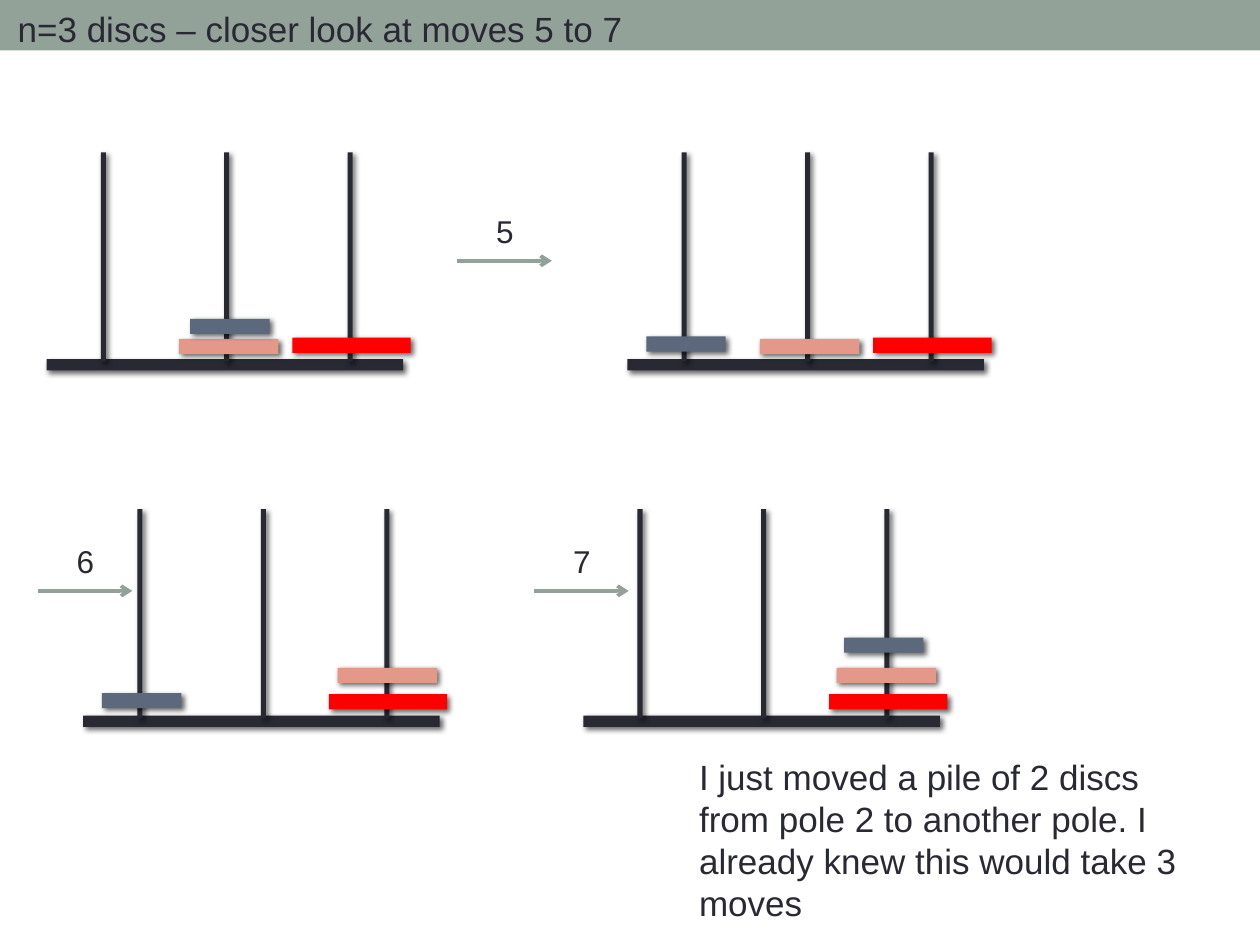
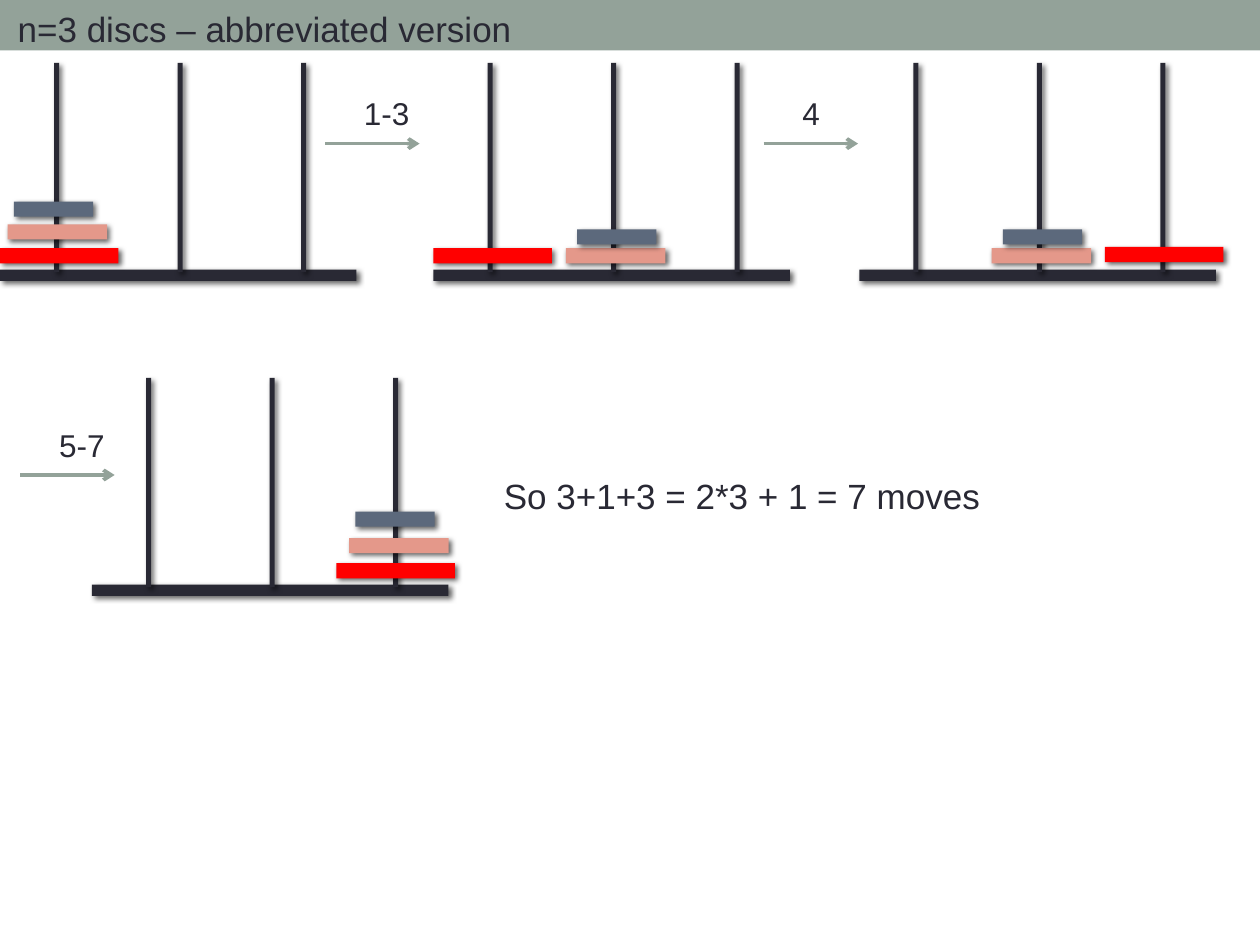
"""Towers of Hanoi with three discs: the last moves and the abbreviated version."""
from dataclasses import dataclass

import pptx
import pptx.dml.color
import pptx.enum.shapes
import pptx.enum.text
import pptx.oxml
import pptx.oxml.ns
import pptx.util
from pptx.util import Inches

RECTANGLE = pptx.enum.shapes.MSO_SHAPE.RECTANGLE
STRAIGHT = pptx.enum.shapes.MSO_CONNECTOR.STRAIGHT


@dataclass(frozen=True)
class Theme:
    """Colours, font and type sizes of the deck."""
    ink: str = "292934"
    sage: str = "93A299"
    large_disc: str = "FF0000"
    medium_disc: str = "E4988A"
    small_disc: str = "5C697C"
    font: str = "Arial"
    body: int = 20
    label: int = 18
    arrow_width: float = 2.08


THEME = Theme()
DISCS = ((0.94, THEME.large_disc), (0.79, THEME.medium_disc), (0.63, THEME.small_disc))
DISC_HEIGHT = 0.12
POLE_COUNT, POLE_START, POLE_PITCH = 3, 0.43, 0.98
POLE_WIDTH, POLE_HEIGHT = 0.04, 1.66
BASE_TOP, BASE_WIDTH, BASE_HEIGHT = 1.64, 2.83, 0.09
ARROW_LENGTH = 0.75

SHADOW = (
    '<a:effectLst %s><a:outerShdw blurRad="38100" dist="25400" dir="2700000" rotWithShape="0">'
    '<a:srgbClr val="000000"><a:alpha val="60000"/></a:srgbClr></a:outerShdw></a:effectLst>'
    % pptx.oxml.ns.nsdecls("a")
)
NO_EFFECT = "<a:effectLst %s/>" % pptx.oxml.ns.nsdecls("a")
ARROWHEAD = '<a:tailEnd %s type="arrow"/>' % pptx.oxml.ns.nsdecls("a")


def colour(value):
    """Return the RGB colour for a hexadecimal value."""
    return pptx.dml.color.RGBColor.from_string(value)


def add_bar(shapes, left, top, width, height, fill, shadow=True):
    """Add a plain filled rectangle, with a soft shadow if wanted."""
    bar = shapes.add_shape(RECTANGLE, Inches(left), Inches(top), Inches(width), Inches(height))
    bar.fill.solid()
    bar.fill.fore_color.rgb = colour(fill)
    bar.line.fill.background()
    if shadow:
        bar.element.spPr.append(pptx.oxml.parse_xml(SHADOW))
    else:
        bar.shadow.inherit = False
    return bar


def write_text(box, text, size):
    """Fill a box with one left-aligned paragraph in the deck's type."""
    frame = box.text_frame
    frame.word_wrap = True
    frame.auto_size = pptx.enum.text.MSO_AUTO_SIZE.NONE
    frame.vertical_anchor = pptx.enum.text.MSO_ANCHOR.TOP
    frame.text = text
    para = frame.paragraphs[0]
    para.alignment = pptx.enum.text.PP_ALIGN.LEFT
    para.font.name = THEME.font
    para.font.size = pptx.util.Pt(size)
    para.font.color.rgb = colour(THEME.ink)


def add_text(shapes, left, top, width, height, text, size=THEME.body):
    """Add a text box holding one paragraph."""
    box = shapes.add_textbox(Inches(left), Inches(top), Inches(width), Inches(height))
    write_text(box, text, size)


def add_tower(page, left, top, disc_offsets):
    """Draw base, poles and discs; offsets run from large to small disc."""
    shapes = page.shapes.add_group_shape().shapes
    add_bar(shapes, left, top + BASE_TOP, BASE_WIDTH, BASE_HEIGHT, THEME.ink)
    for pole in range(POLE_COUNT):
        pole_left = left + POLE_START + pole * POLE_PITCH
        add_bar(shapes, pole_left, top, POLE_WIDTH, POLE_HEIGHT, THEME.ink)
    for (width, fill), (across, down) in zip(DISCS, disc_offsets):
        add_bar(shapes, left + across, top + down, width, DISC_HEIGHT, fill)


def add_move(page, left, top, label, label_width=0.3):
    """Draw a move arrow with its label above."""
    shapes = page.shapes.add_group_shape().shapes
    arrow = shapes.add_connector(
        STRAIGHT, Inches(left), Inches(top), Inches(left + ARROW_LENGTH), Inches(top))
    arrow.line.color.rgb = colour(THEME.sage)
    arrow.line.width = pptx.util.Pt(THEME.arrow_width)
    arrow.line._get_or_add_ln().append(pptx.oxml.parse_xml(ARROWHEAD))
    arrow._element.spPr.append(pptx.oxml.parse_xml(NO_EFFECT))
    add_text(shapes, left + 0.21, top - 0.44, label_width, 0.4, label, THEME.label)


def add_page(deck, title, title_width):
    """Add a title-only slide with its title set on the band."""
    page = deck.slides.add_slide(deck.slide_layouts[5])
    box = page.shapes.title
    box.left, box.top = Inches(0.04), Inches(0.01)
    box.width, box.height = Inches(title_width), Inches(0.44)
    write_text(box, title, THEME.body)
    return page


def add_master_band(deck, page):
    """Draw the title band and place it at the back of the slide master."""
    band = add_bar(page.shapes, 0, 0, 10, 0.4, THEME.sage, shadow=False)
    deck.slide_master.shapes.element.insert(2, band.element)


def build_closer_look(deck):
    """Build the slide that shows moves 5 to 7 one by one."""
    page = add_page(deck, "n=3 discs – closer look at moves 5 to 7", 6.15)
    add_master_band(deck, page)
    add_tower(page, 0.37, 1.21, ((1.95, 1.47), (1.05, 1.48), (1.14, 1.32)))
    add_tower(page, 4.98, 1.21, ((1.95, 1.47), (1.05, 1.48), (0.15, 1.46)))
    add_move(page, 3.63, 2.07, "5")
    add_tower(page, 0.66, 4.04, ((1.95, 1.47), (2.02, 1.26), (0.15, 1.46)))
    add_move(page, 0.3, 4.69, "6")
    add_tower(page, 4.63, 4.04, ((1.95, 1.47), (2.01, 1.26), (2.07, 1.02)))
    add_move(page, 4.24, 4.69, "7")
    add_text(page.shapes, 5.45, 5.95, 4.24, 1.45,
             "I just moved a pile of 2 discs from pole 2 to another pole. "
             "I already knew this would take 3 moves")


def build_abbreviated(deck):
    """Build the slide that sums the moves up in three steps."""
    page = add_page(deck, "n=3 discs – abbreviated version", 5.89)
    add_text(page.shapes, 3.9, 3.72, 4.05, 0.44, "So 3+1+3 = 2*3 + 1 = 7 moves")
    add_tower(page, 0, 0.5, ((0, 1.47), (0.06, 1.28), (0.11, 1.1)))
    add_tower(page, 3.44, 0.5, ((0, 1.47), (1.05, 1.47), (1.14, 1.32)))
    add_tower(page, 6.82, 0.5, ((1.95, 1.46), (1.05, 1.47), (1.14, 1.32)))
    add_tower(page, 0.73, 3, ((1.94, 1.47), (2.04, 1.27), (2.09, 1.06)))
    add_move(page, 2.58, 1.14, "1-3", 0.77)
    add_move(page, 0.16, 3.77, "5-7", 0.58)
    add_move(page, 6.06, 1.14, "4")


def main():
    """Build both slides and save the deck."""
    deck = pptx.Presentation()
    deck.slide_width, deck.slide_height = Inches(10), Inches(7.5)
    build_closer_look(deck)
    build_abbreviated(deck)
    deck.save("out.pptx")


if __name__ == "__main__":
    main()
